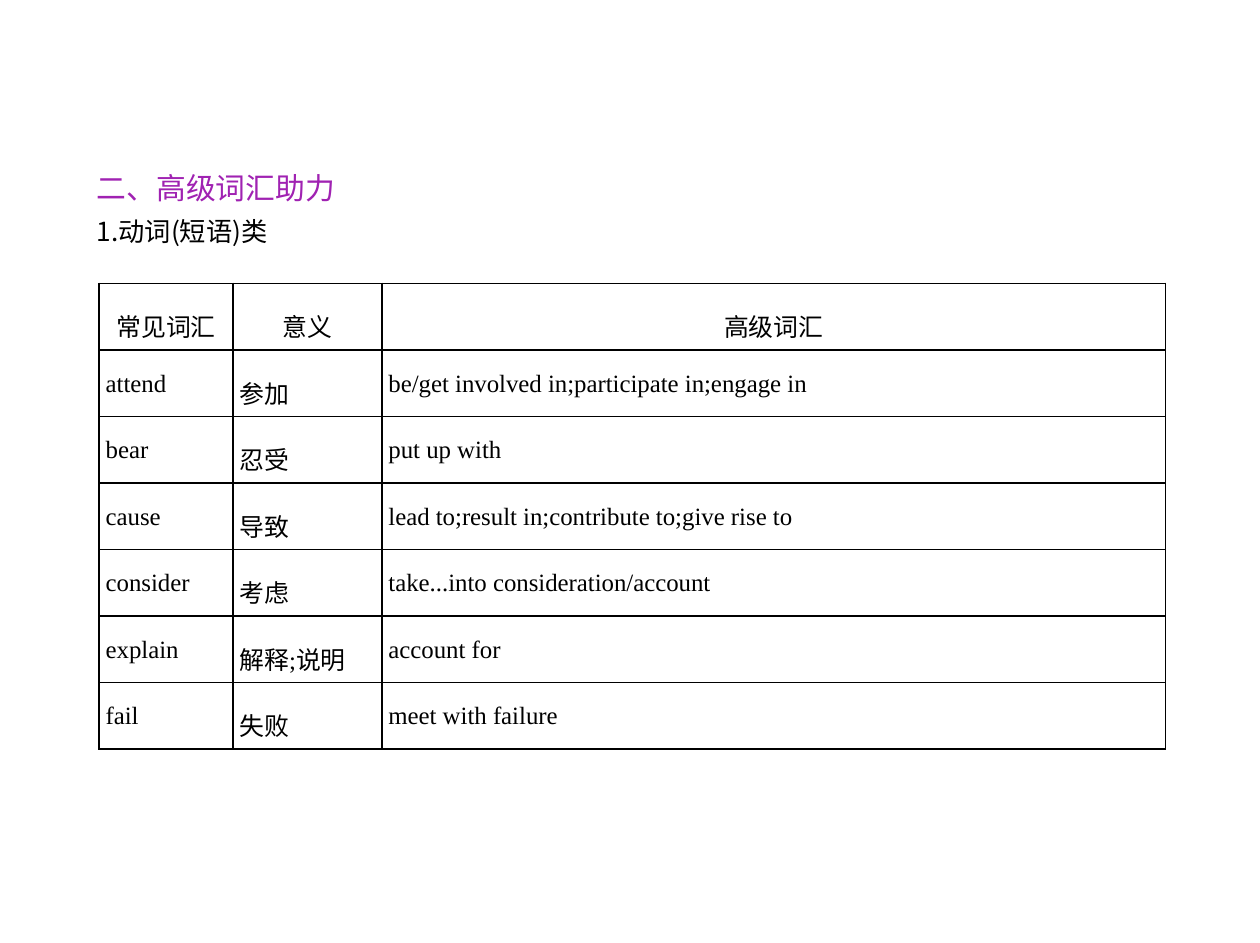
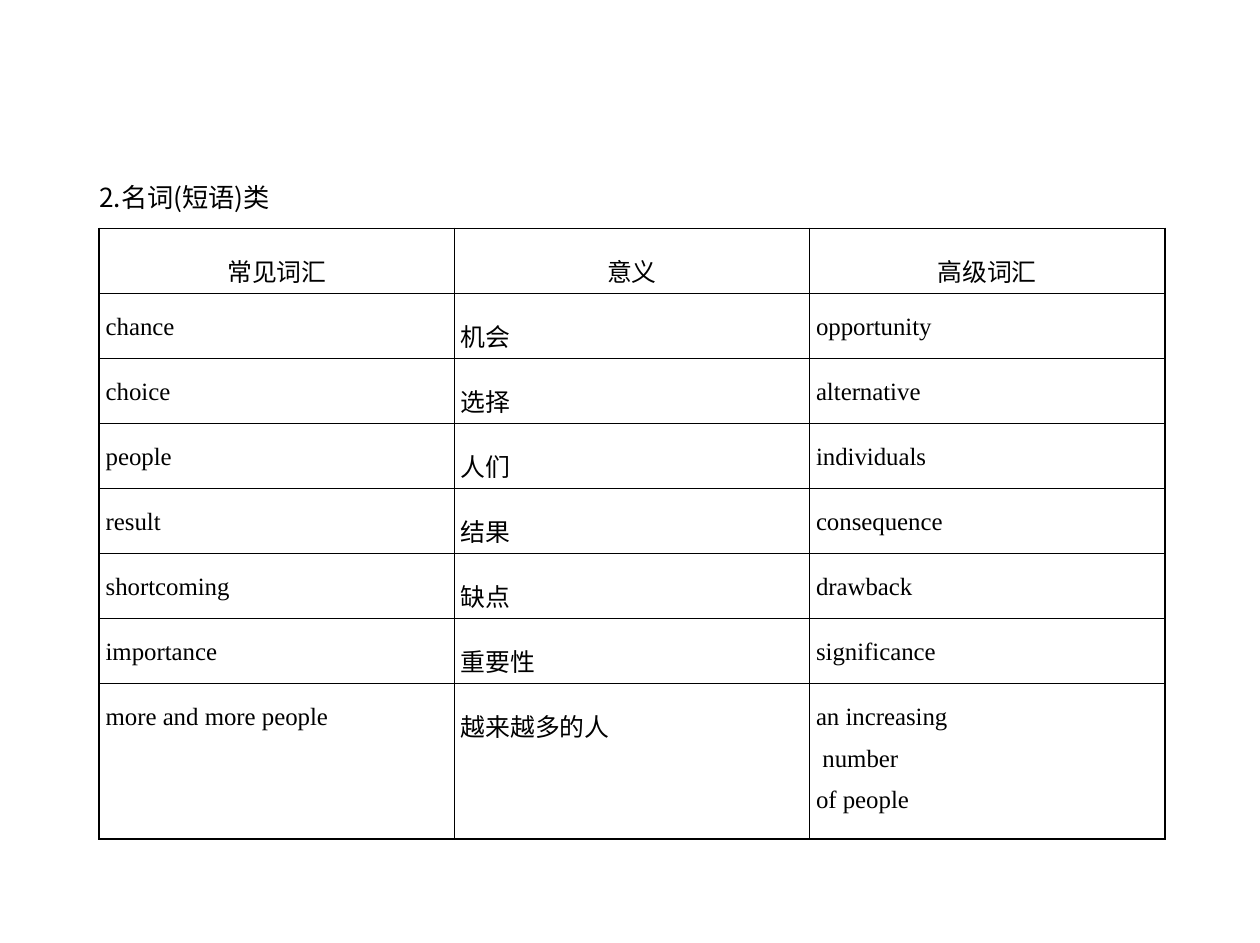
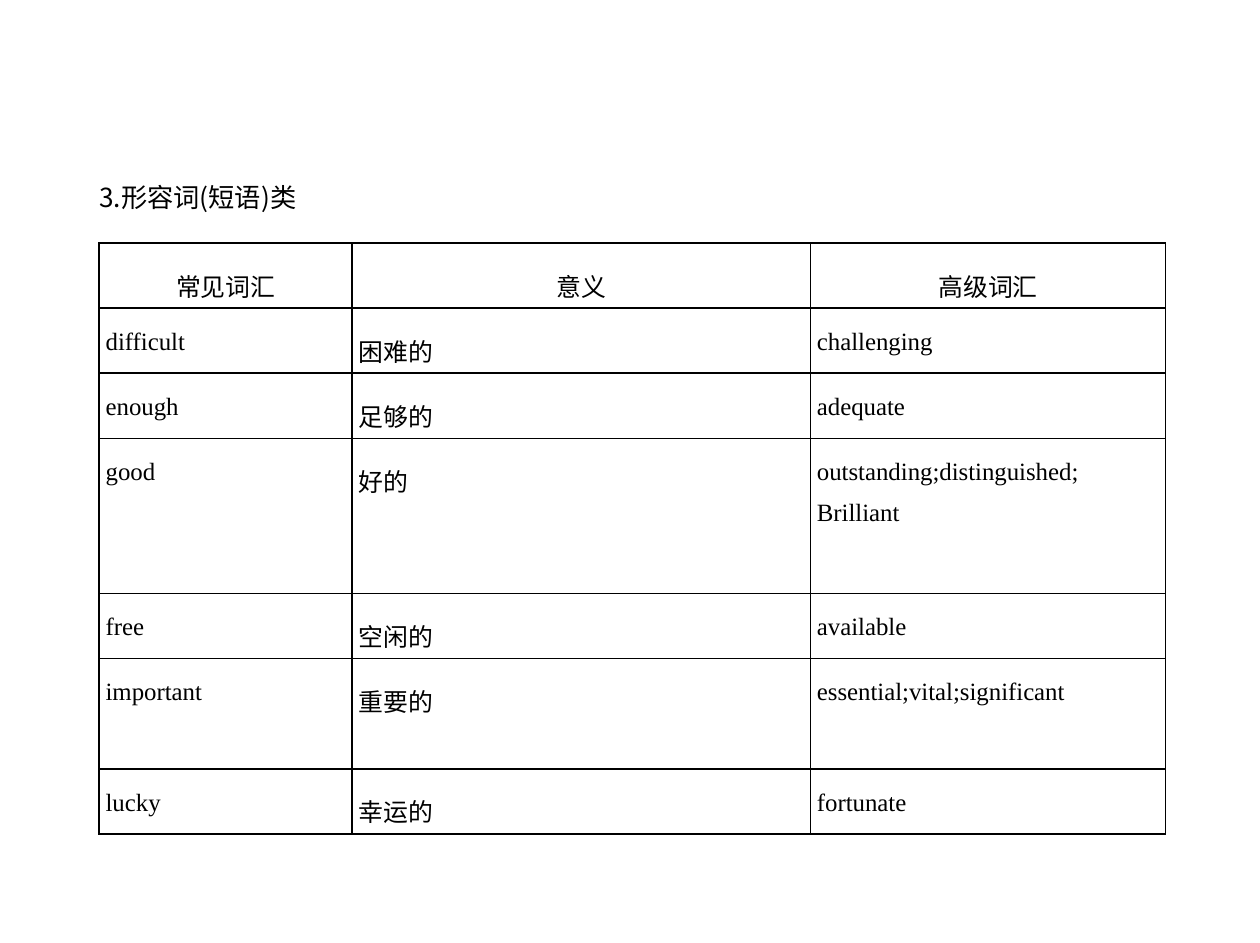
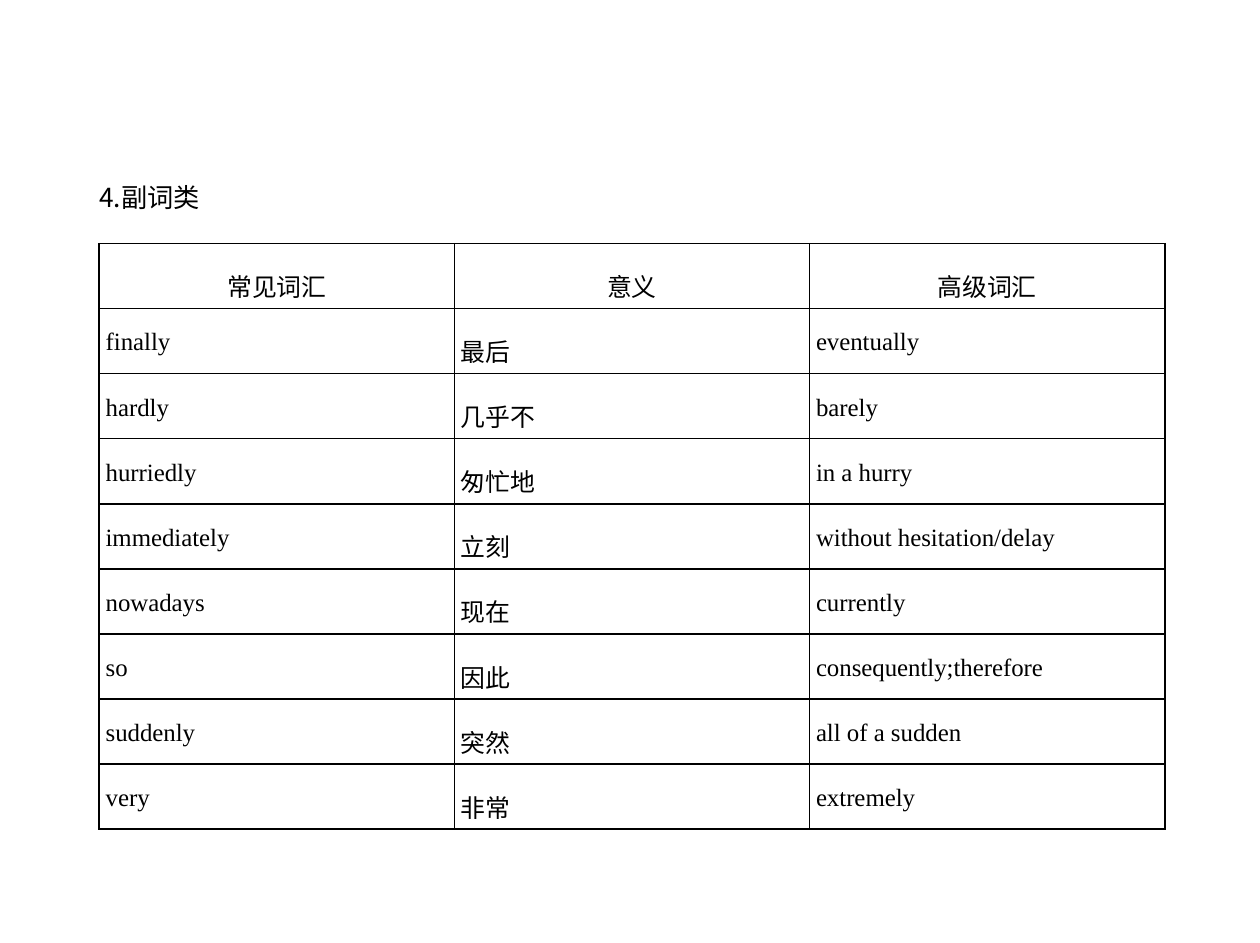
from dataclasses import dataclass
from typing import NamedTuple

from lxml import etree
from pptx import Presentation
from pptx import util as u
from pptx.dml.color import RGBColor
from pptx.enum import text as t
from pptx.oxml import ns

# Shared style
COLORS = {"ink": "000000", "purple": "A022B2"}
HEADING_FONT = "Noto Sans CJK SC"
CELL_FONT = "Times New Roman"
CELL_SIZE = 14.2
BORDER_WIDTH = u.Pt(1)
TABLE_LEFT = 2.0
ROW = 1.31
HEADER = ("常见词汇", "意义", "高级词汇")
THIRDS = (7.16, 7.16, 7.16)


class Line(NamedTuple):
    text: str
    size: float = CELL_SIZE
    color: str = "ink"
    indent: float = 0


class Box(NamedTuple):
    left: float
    top: float
    width: float
    height: float


HEADING_BOX = Box(2.0, 3.5, 23.09, 0.84)


@dataclass
class WordSlide:
    """A heading above a table of words; lengths in centimetres."""
    heading: tuple[Line, ...]
    table_top: float
    columns: tuple[float, ...]
    rows: list[tuple]
    row_heights: list[float]
    heading_box: Box = HEADING_BOX
    heading_insets: tuple[float, float] = (0, 0)


def write_text(frame, lines, *, font=CELL_FONT, spacing=1.5, space_before=0.0,
               align=t.PP_ALIGN.LEFT) -> None:
    """Fill a text frame with one paragraph per line."""
    for index, line in enumerate(lines):
        paragraph = frame.paragraphs[0] if index == 0 else frame.add_paragraph()
        paragraph.alignment = align
        paragraph.line_spacing = spacing
        paragraph.space_before = u.Pt(space_before if index else 0)
        if line.indent:
            paragraph._p.get_or_add_pPr().set("marL", str(u.Cm(line.indent)))
        run = paragraph.add_run()
        run.text = line.text
        run.font.name = font
        run.font.size = u.Pt(line.size)
        run.font.bold = False
        run.font.color.rgb = RGBColor.from_string(COLORS[line.color])
        east_asian = etree.SubElement(run._r.get_or_add_rPr(), ns.qn("a:ea"))
        east_asian.set("typeface", HEADING_FONT)


def set_borders(cell) -> None:
    """Draw all four sides of a cell; borders precede the fill in the XML."""
    properties = cell._tc.get_or_add_tcPr()
    for index, side in enumerate(("lnL", "lnR", "lnT", "lnB")):
        border = etree.Element(ns.qn(f"a:{side}"), w=str(BORDER_WIDTH))
        fill = etree.SubElement(border, ns.qn("a:solidFill"))
        etree.SubElement(fill, ns.qn("a:srgbClr"), val=COLORS["ink"])
        properties.insert(index, border)


def add_heading(slide, content: WordSlide) -> None:
    title = slide.shapes.title
    box = content.heading_box
    title.left, title.top, title.width, title.height = map(u.Cm, box)
    frame = title.text_frame
    frame.word_wrap = True
    frame.auto_size = t.MSO_AUTO_SIZE.NONE
    frame.vertical_anchor = t.MSO_ANCHOR.TOP
    side, top = map(u.Cm, content.heading_insets)
    frame.margin_left = frame.margin_right = side
    frame.margin_top = frame.margin_bottom = top
    write_text(frame, content.heading, font=HEADING_FONT, spacing=1.25,
               space_before=1.4)


def add_word_table(slide, content: WordSlide) -> None:
    rows = [HEADER, *content.rows]
    table = slide.shapes.add_table(
        len(rows), len(HEADER), u.Cm(TABLE_LEFT), u.Cm(content.table_top),
        u.Cm(sum(content.columns)), u.Cm(sum(content.row_heights))).table
    table.first_row = table.horz_banding = False
    for column, width in zip(table.columns, content.columns):
        column.width = u.Cm(width)
    for row, height in zip(table.rows, content.row_heights):
        row.height = u.Cm(height)
    for row_index, words in enumerate(rows):
        align = t.PP_ALIGN.LEFT if row_index else t.PP_ALIGN.CENTER
        for column_index, entry in enumerate(words):
            cell = table.cell(row_index, column_index)
            cell.fill.background()
            cell.margin_left = cell.margin_right = cell.margin_top = u.Cm(0.13)
            cell.margin_bottom = u.Cm(0.08)
            set_borders(cell)
            lines = (Line(entry),) if isinstance(entry, str) else entry
            write_text(cell.text_frame, lines, align=align)


# Slide contents
SLIDES = [
    WordSlide(
        heading=(Line("二、高级词汇助力", 17, "purple"), Line("1.动词(短语)类", 15)),
        heading_box=Box(1.7, 3.1, 12.98, 2.24),
        heading_insets=(0.25, 0.13),
        table_top=5.71,
        columns=(2.7, 3.0, 15.79),
        row_heights=[1.34] * 7,
        rows=[
            ("attend", "参加", "be/get involved in;participate in;engage in"),
            ("bear", "忍受", "put up with"),
            ("cause", "导致", "lead to;result in;contribute to;give rise to"),
            ("consider", "考虑", "take...into consideration/account"),
            ("explain", "解释;说明", "account for"),
            ("fail", "失败", "meet with failure"),
        ]),
    WordSlide(
        heading=(Line("2.名词(短语)类", 15),),
        table_top=4.6,
        columns=THIRDS,
        row_heights=[ROW] * 7 + [3.13],
        rows=[
            ("chance", "机会", "opportunity"),
            ("choice", "选择", "alternative"),
            ("people", "人们", "individuals"),
            ("result", "结果", "consequence"),
            ("shortcoming", "缺点", "drawback"),
            ("importance", "重要性", "significance"),
            ("more and more people", "越来越多的人",
             (Line("an increasing"), Line("number", indent=0.13),
              Line("of people"))),
        ]),
    WordSlide(
        heading=(Line("3.形容词(短语)类", 15),),
        table_top=4.9,
        columns=(5.1, 9.24, 7.16),
        row_heights=[ROW] * 3 + [3.13, ROW, 2.22, ROW],
        rows=[
            ("difficult", "困难的", "challenging"),
            ("enough", "足够的", "adequate"),
            ("good", "好的",
             (Line("outstanding;distinguished;"), Line("Brilliant"))),
            ("free", "空闲的", "available"),
            ("important", "重要的", "essential;vital;significant"),
            ("lucky", "幸运的", "fortunate"),
        ]),
    WordSlide(
        heading=(Line("4.副词类", 15),),
        table_top=4.91,
        columns=THIRDS,
        row_heights=[ROW] * 9,
        rows=[
            ("finally", "最后", "eventually"),
            ("hardly", "几乎不", "barely"),
            ("hurriedly", "匆忙地", "in a hurry"),
            ("immediately", "立刻", "without hesitation/delay"),
            ("nowadays", "现在", "currently"),
            ("so", "因此", "consequently;therefore"),
            ("suddenly", "突然", "all of a sudden"),
            ("very", "非常", "extremely"),
        ]),
]


def main() -> None:
    presentation = Presentation()
    presentation.slide_width = u.Cm(25.4)
    presentation.slide_height = u.Cm(19)
    title_only = presentation.slide_layouts.get_by_name("Title Only")
    for content in SLIDES:
        slide = presentation.slides.add_slide(title_only)
        add_heading(slide, content)
        add_word_table(slide, content)
    presentation.save("out.pptx")


if __name__ == "__main__":
    main()
